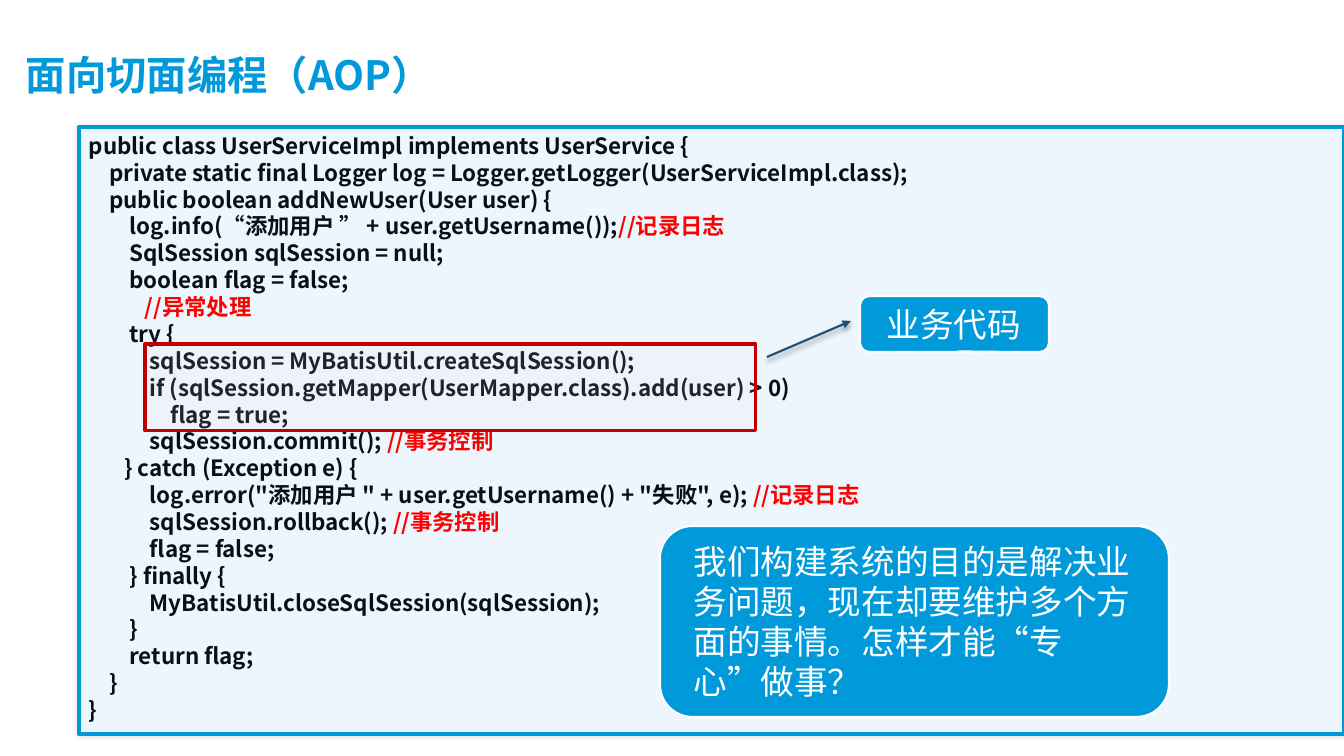
"""Build the slide on aspect-oriented programming."""
from lxml import etree
from pptx import Presentation
from pptx import util as u
from pptx.dml.color import RGBColor
from pptx.enum import shapes, text
from pptx.oxml import ns

TITLE = "面向切面编程（AOP）"
CODE = [
    ("public class UserServiceImpl implements UserService {", ""),
    ("    private static final Logger log = Logger.getLogger(UserServiceImpl.class);", ""),
    ("    public boolean addNewUser(User user) {", ""),
    ("        log.info(“添加用户 ” + user.getUsername());", "//记录日志"),
    ("        SqlSession sqlSession = null;", ""),
    ("        boolean flag = false;", ""),
    ("\t", "//异常处理"),
    ("        try {", ""),
    ("            sqlSession = MyBatisUtil.createSqlSession();", ""),
    ("            if (sqlSession.getMapper(UserMapper.class).add(user) > 0)", ""),
    ("                flag = true;", ""),
    ("            sqlSession.commit(); ", "//事务控制"),
    ("       } catch (Exception e) {", ""),
    ('            log.error("添加用户 " + user.getUsername() + "失败", e); ', "//记录日志"),
    ("            sqlSession.rollback(); ", "//事务控制"),
    ("            flag = false;", ""),
    ("        } finally {", ""),
    ("            MyBatisUtil.closeSqlSession(sqlSession);", ""),
    ("        }", ""),
    ("        return flag;", ""),
    ("    }", ""),
    ("}", ""),
]
LABEL = "业务代码"
QUESTION = "我们构建系统的目的是解决业务问题，现在却要维护多个方面的事情。怎样才能“专心”做事？"

FONT = "Noto Sans CJK SC"
TITLE_BLUE = RGBColor(0x00, 0x99, 0xD9)
FRAME_BLUE = RGBColor(0x00, 0x99, 0xD8)
CALLOUT_BLUE = RGBColor(0x00, 0x9A, 0xDA)
ARROW_BLUE = RGBColor(0x1F, 0x4E, 0x79)
PALE_BLUE = RGBColor(0xED, 0xF5, 0xFD)
PALE_RED = RGBColor(0xFF, 0xDD, 0xDD)
FRAME_RED = RGBColor(0xC0, 0x00, 0x00)
COMMENT_RED = RGBColor(0xFF, 0x00, 0x00)
INK = RGBColor(0x06, 0x10, 0x18)
WHITE = RGBColor(0xFF, 0xFF, 0xFF)
EMU_PER_PX = 914400 / 100.8


def px(length):
    return u.Emu(round(length * EMU_PER_PX))


def add_child(parent, tag, **attributes):
    child = etree.SubElement(parent, ns.qn(tag))
    for name, value in attributes.items():
        child.set(name, str(value))
    return child


def add_shadow(item, opacity, blur, distance, direction):
    properties = item._element.spPr
    for effects in properties.findall(ns.qn("a:effectLst")):
        properties.remove(effects)
    shadow = add_child(add_child(properties, "a:effectLst"), "a:outerShdw",
                       blurRad=u.Pt(blur), dist=u.Pt(distance),
                       dir=direction * 60000, algn="ctr", rotWithShape=0)
    color = add_child(shadow, "a:srgbClr", val="000000")
    add_child(color, "a:alpha", val=opacity * 1000)


def add_panel(page, kind, place, fill, line, width, adjustments=()):
    panel = page.shapes.add_shape(kind, *map(px, place))
    panel.shadow.inherit = False
    panel.fill.solid()
    panel.fill.fore_color.rgb = fill
    panel.line.color.rgb = line
    panel.line.width = u.Pt(width)
    for index, value in enumerate(adjustments):
        panel.adjustments[index] = value
    return panel


def set_frame(box, anchor, margins=(10, 5, 10, 5)):
    frame = box.text_frame
    frame.word_wrap = True
    frame.auto_size = text.MSO_AUTO_SIZE.NONE
    frame.vertical_anchor = anchor
    (frame.margin_left, frame.margin_top,
     frame.margin_right, frame.margin_bottom) = map(px, margins)
    return frame


def write(para, spans, size, spacing, bold=False):
    para.alignment = text.PP_ALIGN.LEFT
    para.line_spacing = u.Pt(spacing)
    for words, color in spans:
        if words:
            span = para.add_run()
            span.text = words
            span.font.size = u.Pt(size)
            span.font.bold = bold
            span.font.color.rgb = color
            span.font.name = FONT
            add_child(span.font._element, "a:ea", typeface=FONT)


def add_title(page):
    box = page.shapes.add_textbox(*map(px, (26, 51, 1204, 52)))
    frame = set_frame(box, text.MSO_ANCHOR.MIDDLE, (0, 0, 10, 5))
    write(frame.paragraphs[0], [(TITLE, TITLE_BLUE)], 28.8, 34, True)


def add_code(page):
    box = add_panel(page, shapes.MSO_SHAPE.ROUNDED_RECTANGLE, (79, 127, 1265, 607),
                    PALE_BLUE, FRAME_BLUE, 3, [0])
    add_shadow(box, 10, 3, 0, 0)
    frame = set_frame(box, text.MSO_ANCHOR.TOP)
    for number, (code, comment) in enumerate(CODE):
        para = frame.add_paragraph() if number else frame.paragraphs[0]
        if code.startswith("\t"):
            tabs = add_child(para._p.get_or_add_pPr(), "a:tabLst")
            add_child(tabs, "a:tab", pos=px(56), algn="l")
        write(para, [(code, INK), (comment, COMMENT_RED)], 16, 19.2, True)


def add_highlight(page):
    panel = add_panel(page, shapes.MSO_SHAPE.RECTANGLE, (145, 344, 611, 87),
                      PALE_RED, FRAME_RED, 2.25)
    color = panel._element.spPr.find(ns.qn("a:solidFill"))[0]
    add_child(color, "a:alpha", val=10000)


def add_callout(page, kind, place, words, adjustments):
    box = add_panel(page, kind, place, CALLOUT_BLUE, WHITE, 1.5, adjustments)
    para = set_frame(box, text.MSO_ANCHOR.MIDDLE).paragraphs[0]
    para._p.get_or_add_pPr().set("marL", str(px(14)))
    write(para, [(words, WHITE)], 24, 28.6)


def add_arrow(page):
    arrow = page.shapes.add_connector(shapes.MSO_CONNECTOR.STRAIGHT,
                                      *map(px, (767, 357, 851, 321)))
    arrow.line.color.rgb = ARROW_BLUE
    arrow.line.width = u.Pt(1.5)
    add_child(arrow.line._get_or_add_ln(), "a:tailEnd", type="triangle")
    add_shadow(arrow, 40, 4, 3, 90)


def main():
    deck = Presentation()
    deck.slide_width, deck.slide_height = px(1344), px(756)
    page = deck.slides.add_slide(deck.slide_layouts[6])
    add_title(page)
    add_code(page)
    add_highlight(page)
    add_callout(page, shapes.MSO_SHAPE.ROUNDED_RECTANGULAR_CALLOUT,
                (860, 296, 189, 56), LABEL, [0.02, 0.49, 0.17])
    add_arrow(page)
    add_callout(page, shapes.MSO_SHAPE.ROUNDED_RECTANGLE,
                (660, 526, 509, 191), QUESTION, [0.17])
    deck.save("out.pptx")


if __name__ == "__main__":
    main()
